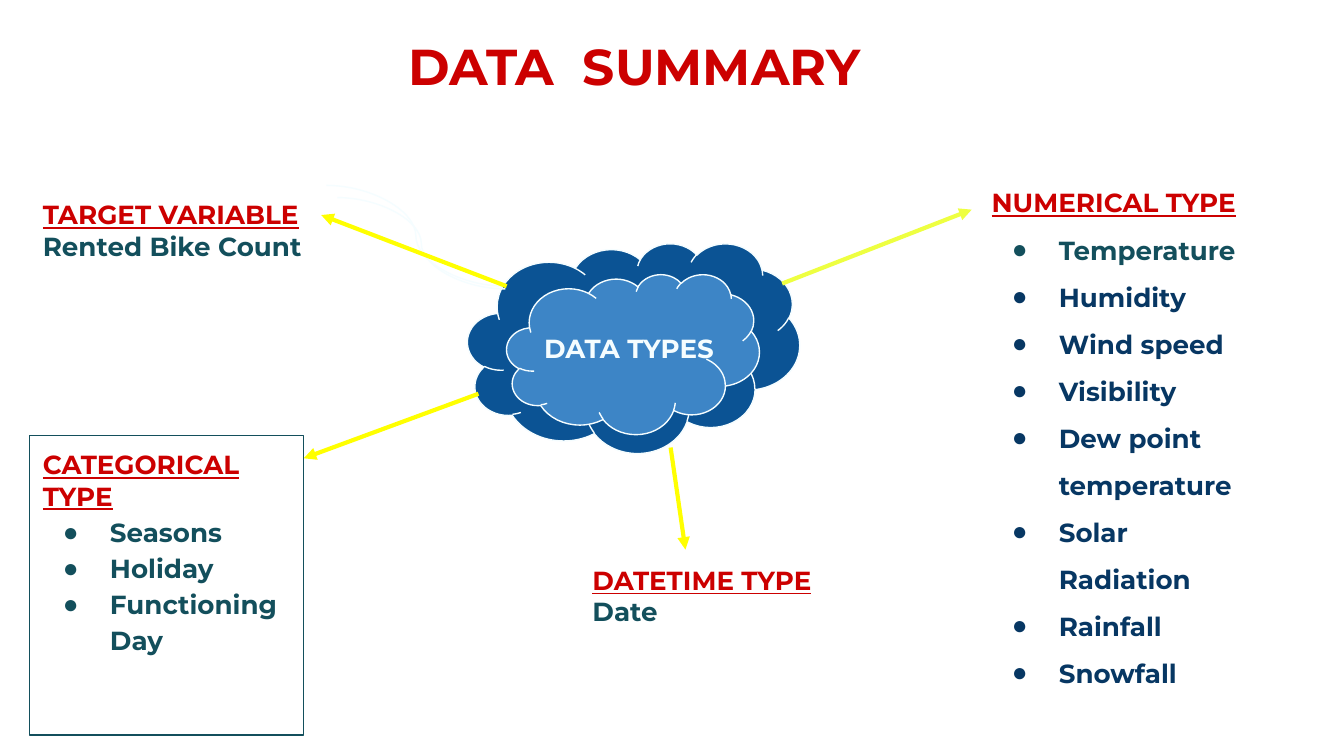
from pptx import Presentation
from pptx import util as u
from pptx.dml.color import RGBColor
from pptx.enum import shapes, text
from pptx.oxml.ns import qn
from lxml import etree


class Theme:
    font, bullet_font = "Montserrat", "Arial"
    red, teal, navy = "CC0000", "134F5C", "073763"
    dark_blue, blue, pale = "0B5394", "3D85C6", "F5FDFF"
    yellow, lime = "FFFF00", "EEFF41"
    title, body = 27, 14
    thin, thick = 0.75, 2.25


def add_text(tf, content, first=False, color=Theme.teal, size=Theme.body,
             underline=False, align=text.PP_ALIGN.LEFT, bullet=False, spacing=None):
    """Write one paragraph, into the existing one if it is the first."""
    p = tf.paragraphs[0] if first else tf.add_paragraph()
    p.alignment = align
    if spacing:
        p.line_spacing = spacing
    if bullet:
        pPr = p._p.get_or_add_pPr()
        pPr.set("marL", str(u.Inches(0.5)))
        pPr.set("indent", str(u.Inches(-0.35)))
        clr = etree.SubElement(pPr, qn("a:buClr"))
        etree.SubElement(clr, qn("a:srgbClr"), val=color)
        etree.SubElement(pPr, qn("a:buFont"), typeface=Theme.bullet_font)
        etree.SubElement(pPr, qn("a:buChar"), char="●")
    r = p.add_run()
    r.text = content
    f = r.font
    f.name, f.size, f.bold, f.underline = Theme.font, u.Pt(size), True, underline
    f.color.rgb = RGBColor.from_string(color)


class SlideBuilder:
    def __init__(self, slide, theme):
        self.s, self.theme = slide, theme

    def frame(self, sp):
        tf = sp.text_frame
        tf.word_wrap = True
        tf.vertical_anchor = text.MSO_ANCHOR.TOP
        tf.margin_left = tf.margin_right = u.Inches(0.1)
        tf.margin_top = tf.margin_bottom = u.Inches(0.1)
        return tf

    def box(self, *at):
        return self.frame(self.s.shapes.add_textbox(*map(u.Inches, at)))

    def shape(self, kind, *at, line, fill=None):
        sp = self.s.shapes.add_shape(kind, *map(u.Inches, at))
        sp.shadow.inherit = False
        if fill:
            sp.fill.solid()
            sp.fill.fore_color.rgb = RGBColor.from_string(fill)
        else:
            sp.fill.background()
        sp.line.color.rgb = RGBColor.from_string(line)
        sp.line.width = u.Pt(self.theme.thin)
        return sp

    def connector(self, kind, *ends, color, width):
        c = self.s.shapes.add_connector(kind, *map(u.Inches, ends))
        c.line.color.rgb = RGBColor.from_string(color)
        c.line.width = u.Pt(width)
        etree.SubElement(c._element.spPr, qn("a:effectLst"))
        return c

    def curve(self, *ends):
        self.connector(shapes.MSO_CONNECTOR.CURVE, *ends,
                       color=self.theme.pale, width=self.theme.thin)

    def arrow(self, *ends, color):
        c = self.connector(shapes.MSO_CONNECTOR.STRAIGHT, *ends,
                           color=color, width=self.theme.thick)
        ln = c._element.spPr.find(qn("a:ln"))
        etree.SubElement(ln, qn("a:tailEnd"), type="triangle")

    def heading(self, tf, content):
        add_text(tf, content, first=True, color=self.theme.red, underline=True)

    def bullets(self, tf, items, color, spacing):
        for item in items:
            add_text(tf, item, color=color, bullet=True, spacing=spacing)


def main():
    prs = Presentation()
    prs.slide_width = u.Inches(10)
    prs.slide_height = prs.slide_width * 9 // 16
    t = Theme()
    b = SlideBuilder(prs.slides.add_slide(prs.slide_layouts[6]), t)

    # Title
    add_text(b.box(0.06, 0.16, 9.32, 0.63), "DATA  SUMMARY", first=True,
             color=t.red, size=t.title, align=text.PP_ALIGN.CENTER)

    # Central cloud
    cloud = shapes.MSO_SHAPE.CLOUD
    b.shape(cloud, 3.48, 1.81, 2.47, 1.56, fill=t.dark_blue, line=t.pale)
    b.shape(cloud, 3.77, 2.04, 1.88, 1.19, fill=t.blue, line=t.pale)
    add_text(b.box(3.95, 2.37, 1.52, 0.44), "DATA TYPES", first=True, color=t.pale)

    # Faint curves and arrows to each type
    b.curve(3.76, 2.15, 2.51, 1.47)
    b.curve(3.76, 2.13, 2.43, 1.38)
    b.arrow(5.82, 2.11, 7.23, 1.56, color=t.lime)
    for ends in ((3.77, 2.13, 2.39, 1.6), (3.56, 2.93, 2.26, 3.41),
                 (4.99, 3.33, 5.1, 4.09)):
        b.arrow(*ends, color=t.yellow)

    # Numerical variables
    tf = b.box(7.28, 1.29, 2.14, 4.21)
    b.heading(tf, "NUMERICAL TYPE")
    b.bullets(tf, ["Temperature"], t.teal, 1.5)
    b.bullets(tf, ["Humidity", "Wind speed", "Visibility", "Dew point temperature",
                   "Solar Radiation", "Rainfall", "Snowfall"], t.navy, 1.5)

    # Categorical variables
    tf = b.frame(b.shape(shapes.MSO_SHAPE.RECTANGLE, 0.22, 3.24, 2.04, 2.23, line=t.teal))
    b.heading(tf, "CATEGORICAL TYPE")
    b.bullets(tf, ["Seasons", "Holiday", "Functioning Day"], t.teal, 1.15)

    # Target and datetime variables
    for at, head, value in (
            ((0.22, 1.38, 2.14, 0.67), "TARGET VARIABLE", "Rented Bike Count"),
            ((4.31, 4.1, 1.88, 0.67), "DATETIME TYPE", "Date")):
        tf = b.box(*at)
        b.heading(tf, head)
        add_text(tf, value)

    prs.save("out.pptx")


if __name__ == "__main__":
    main()
